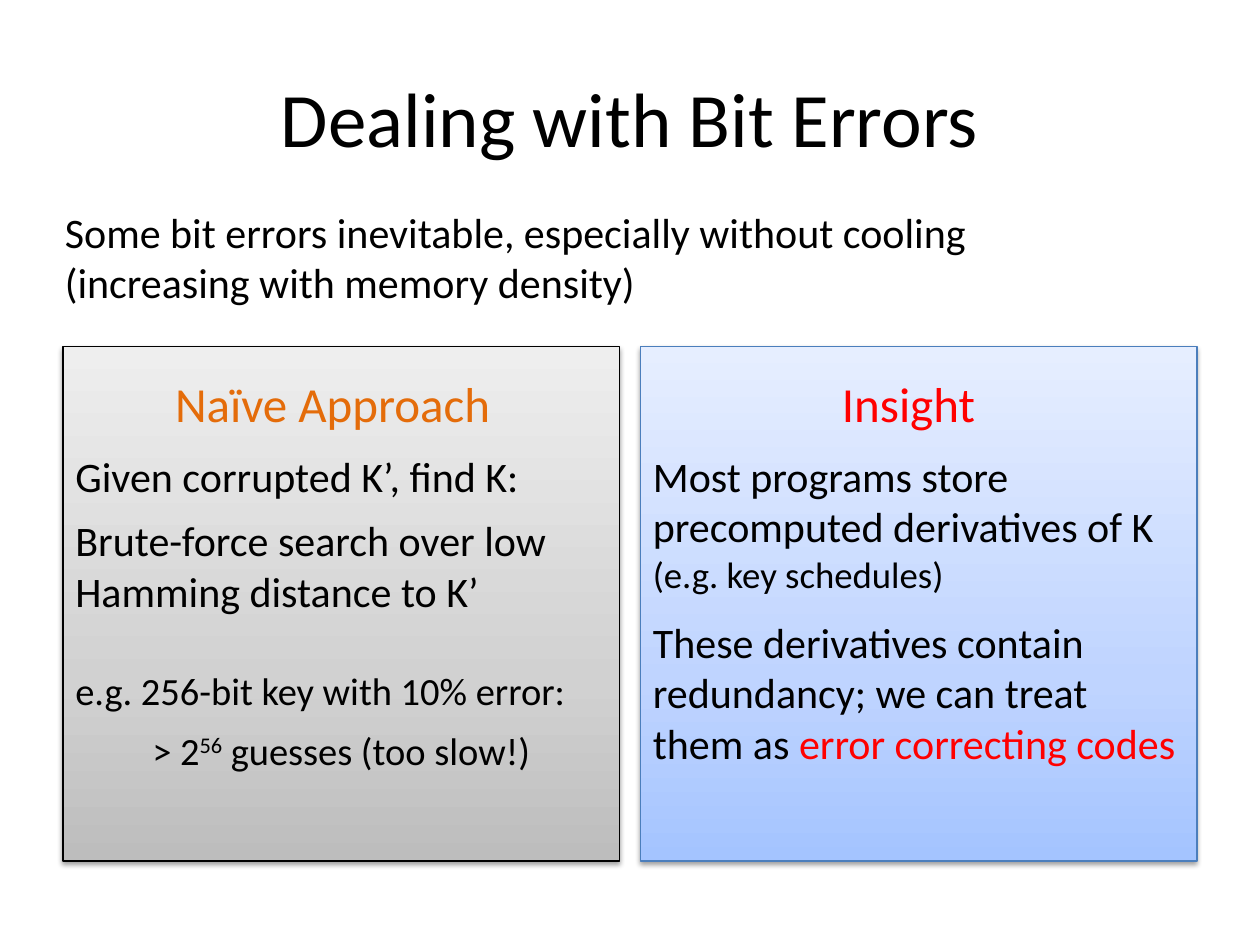
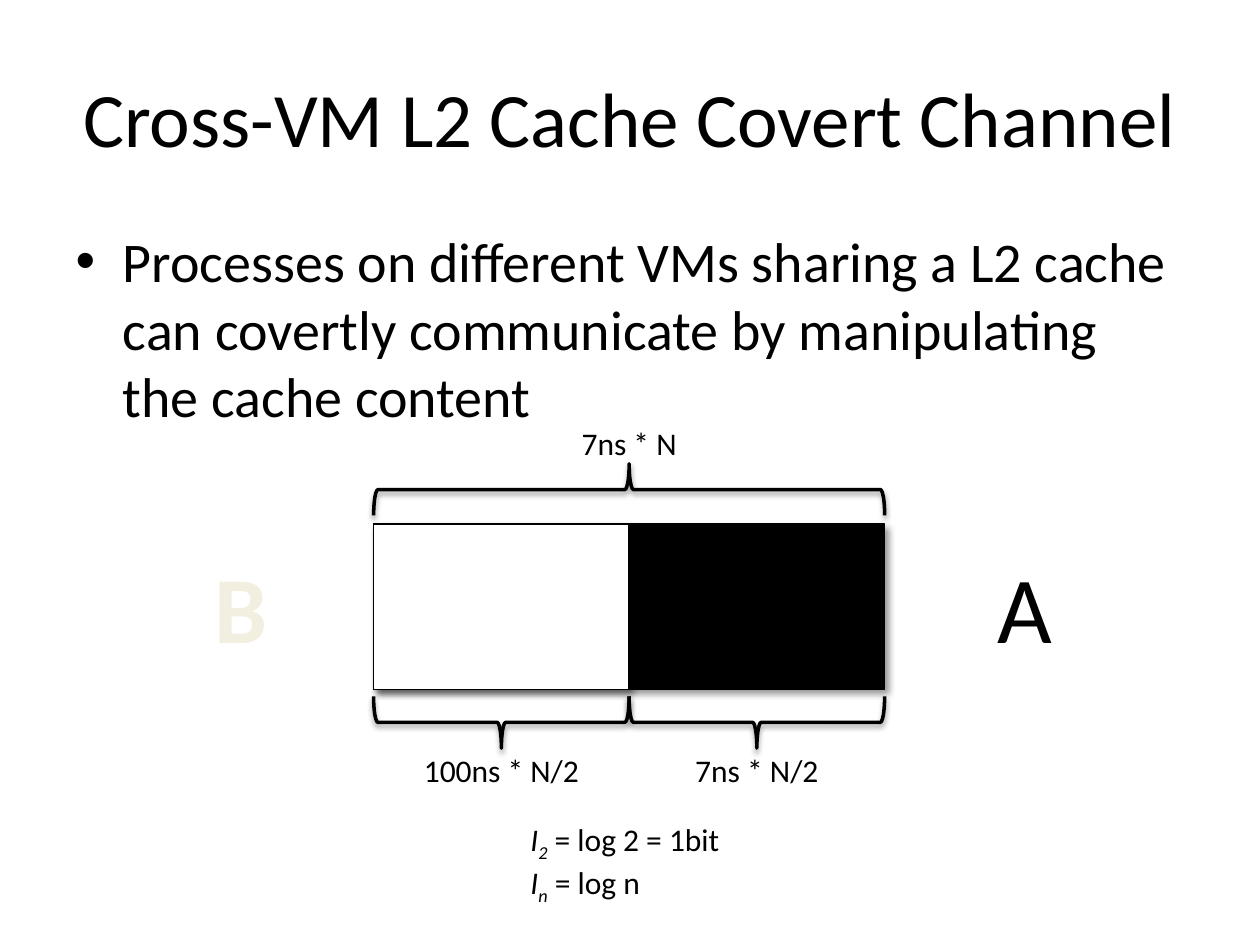
from copy import deepcopy

from lxml import etree
from pptx import Presentation
from pptx.dml.color import RGBColor
from pptx.enum import shapes as sh, text as tx
from pptx.oxml import ns
from pptx.util import Pt

FONT = "Calibri"
BLACK = RGBColor(0x00, 0x00, 0x00)
WHITE = RGBColor(0xFF, 0xFF, 0xFF)
RED = RGBColor(0xFF, 0x00, 0x00)
ORANGE = RGBColor(0xE4, 0x6C, 0x0A)
CREAM = RGBColor(0xF3, 0xEF, 0xE0)
BLUE = RGBColor(0x4B, 0x7E, 0xBC)
GRAYS = [RGBColor(0xBD, 0xBD, 0xBD), RGBColor(0xD1, 0xD1, 0xD1),
         RGBColor(0xEE, 0xEE, 0xEE)]
BLUES = [RGBColor(0xA4, 0xC4, 0xFF), RGBColor(0xBF, 0xD4, 0xFF),
         RGBColor(0xE6, 0xEE, 0xFF)]
STOPS = [0, 0.35, 1]

# Shadows: opacity in percent, blur, distance, angle in degrees
SOFT = (38, 3.1, 1.6, 90)
DEEP = (40, 4, 3, 45)

LEFT, CENTER = tx.PP_ALIGN.LEFT, tx.PP_ALIGN.CENTER

PANEL_TOP, PANEL_W, PANEL_H, PANEL_GAP = 198, 318, 294, 12
PANEL_X = [36, 36 + PANEL_W + PANEL_GAP]

CACHE_X, CACHE_Y, HALF, CACHE_H = 213.5, 299.5, 146, 94.5
DEPTH = 29.5  # of a brace


def add_run(par, words, size, color=BLACK, base=0, bold=False, ital=False):
    """Add a run; base raises (+) or lowers (-) it by that percentage."""
    run = par.add_run()
    run.text = words
    font = run.font
    font.name, font.size = FONT, Pt(size)
    font.bold, font.italic = bold, ital
    font.color.rgb = color
    if base:
        run._r.get_or_add_rPr().set("baseline", str(base * 1000))


def add_par(frame, first=False, before=0, align=LEFT):
    par = frame.paragraphs[0] if first else frame.add_paragraph()
    par.alignment = align
    if before:
        par.space_before = Pt(before)
    return par


def add_box(shapes, x, y, w, h, wrap=False):
    box = shapes.add_textbox(Pt(x), Pt(y), Pt(w), Pt(h))
    box.text_frame.word_wrap = wrap
    box.text_frame.auto_size = tx.MSO_AUTO_SIZE.SHAPE_TO_FIT_TEXT
    return box.text_frame


def add_label(shapes, words, x, y, w, h, size, color=BLACK, bold=False,
              align=CENTER):
    par = add_par(add_box(shapes, x, y, w, h), first=True, align=align)
    add_run(par, words, size, color, bold=bold)


def set_shadow(shape, alpha, blur, dist, angle):
    shape.shadow.inherit = False
    effects = shape._element.spPr.find(ns.qn("a:effectLst"))
    outer = etree.SubElement(
        effects, ns.qn("a:outerShdw"), blurRad=str(Pt(blur)),
        dist=str(Pt(dist)), dir=str(angle * 60000), rotWithShape="0")
    color = etree.SubElement(outer, ns.qn("a:srgbClr"), val=str(BLACK))
    etree.SubElement(color, ns.qn("a:alpha"), val=str(alpha * 1000))


def add_shape(shapes, kind, x, y, w, h, shadow, fill=None, line=BLACK,
              width=0.75):
    shape = shapes.add_shape(kind, Pt(x), Pt(y), Pt(w), Pt(h))
    if fill is None:
        shape.fill.background()
    else:
        shape.fill.solid()
        shape.fill.fore_color.rgb = fill
    shape.line.color.rgb = line
    shape.line.width = Pt(width)
    set_shadow(shape, *shadow)
    return shape


def set_blend(shape, colors):
    """Fill with three colours that run from bottom to top."""
    fill = shape.fill
    fill.gradient()
    fill.gradient_angle = 90
    stops = shape._element.spPr.find(".//" + ns.qn("a:gsLst"))
    stops.insert(1, deepcopy(stops[0]))
    for stop, place, color in zip(fill.gradient_stops, STOPS, colors):
        stop.position = place
        stop.color.rgb = color


def add_panel(slide, x, colors, line, head, head_x, head_w, head_color):
    """Draw a headed panel and return the frame for its text."""
    shapes = slide.shapes.add_group_shape().shapes
    panel = add_shape(shapes, sh.MSO_SHAPE.RECTANGLE, x, PANEL_TOP, PANEL_W,
                      PANEL_H, SOFT, line=line)
    set_blend(panel, colors)
    add_label(shapes, head, head_x, 210, head_w, 41, 28, head_color,
              align=LEFT)
    frame = panel.text_frame
    frame.word_wrap = True
    frame.vertical_anchor = tx.MSO_ANCHOR.TOP
    frame.margin_top = Pt(59.5)
    return frame


def add_brace(slide, x, y, span, turn):
    """Lay a brace over the span, with its top edge at y."""
    brace = add_shape(slide.shapes, sh.MSO_SHAPE.LEFT_BRACE,
                      x + (span - DEPTH) / 2, y + (DEPTH - span) / 2,
                      DEPTH, span, SOFT, width=2)
    brace.rotation = turn


def add_slide(deck, layout, title):
    slide = deck.slides.add_slide(deck.slide_layouts[layout])
    hold = slide.shapes.title
    hold.left, hold.top, hold.width, hold.height = map(Pt, (36, 21.6, 648, 90))
    par = add_par(hold.text_frame, first=True, align=CENTER)
    add_run(par, title, 44)
    return slide


def draw_errors(deck):
    slide = add_slide(deck, 5, "Dealing with Bit Errors")
    par = add_par(add_box(slide.shapes, 30, 114.5, 612, 65.5, wrap=True), True)
    add_run(par, "Some bit errors inevitable, especially without cooling", 24)
    par.add_line_break()
    add_run(par, "(increasing with memory density)", 24)

    naive = add_panel(slide, PANEL_X[0], GRAYS, BLACK, "Naïve Approach",
                      93, 201.5, ORANGE)
    add_run(add_par(naive, True), "Given corrupted K’, find K:", 24)
    add_run(add_par(naive, before=8),
            "Brute-force search over low Hamming distance to K’", 24)
    add_run(add_par(naive, before=29), "e.g. 256-bit key with 10% error:", 22)
    par = add_par(naive, before=8, align=CENTER)
    add_run(par, "> 2", 22)
    add_run(par, "56", 22, base=30)
    add_run(par, " guesses (too slow!)", 22)

    insight = add_panel(slide, PANEL_X[1], BLUES, BLUE, "Insight",
                        474, 91.5, RED)
    par = add_par(insight, True)
    add_run(par, "Most programs store", 24)
    par.add_line_break()
    add_run(par, "precomputed derivatives of K", 24)
    par.add_line_break()
    add_run(par, "(e.g. key schedules)", 21)
    par = add_par(insight, before=12)
    add_run(par, "These derivatives contain redundancy; "
                 "we can treat them as ", 24)
    add_run(par, "error correcting codes", 24, RED)


def draw_cache(deck):
    slide = add_slide(deck, 1, "Cross-VM L2 Cache Covert Channel")
    shapes = slide.shapes
    body = slide.placeholders[1]
    body.left, body.top, body.width, body.height = map(Pt, (36, 126, 648, 356))
    add_run(add_par(body.text_frame, True),
            "Processes on different VMs sharing a L2 cache can covertly "
            "communicate by manipulating the cache content", 32)

    for width, color in ((2 * HALF, BLACK), (HALF, WHITE)):
        add_shape(shapes, sh.MSO_SHAPE.RECTANGLE, CACHE_X, CACHE_Y, width,
                  CACHE_H, DEEP, color)
    add_label(shapes, "B", 114.5, 310, 46, 73, 54, CREAM, bold=True)
    add_label(shapes, "A", 562.5, 310, 46, 73, 54)

    mid = CACHE_X + HALF
    for words, x, span, turn, y, label_y, width in (
            ("7ns * N", CACHE_X, 2 * HALF, 90, 265, 238.5, 70),
            ("100ns * N/2", CACHE_X, HALF, 270, 398, 425.5, 104),
            ("7ns * N/2", mid, HALF, 270, 398, 425.5, 86)):
        add_brace(slide, x, y, span, turn)
        add_label(shapes, words, x + (span - width) / 2, label_y, width, 29, 18)

    frame = add_box(shapes, 296, 465, 126, 51)
    for row, (sub, rest) in enumerate((("2", " = log 2 = 1bit"),
                                       ("n", " = log n"))):
        par = add_par(frame, first=row == 0)
        add_run(par, "I", 18, ital=True)
        add_run(par, sub, 18, base=-25, ital=True)
        add_run(par, rest, 18)


def main():
    deck = Presentation()
    deck.slide_width, deck.slide_height = Pt(720), Pt(540)
    draw_errors(deck)
    draw_cache(deck)
    deck.save("out.pptx")


if __name__ == "__main__":
    main()
